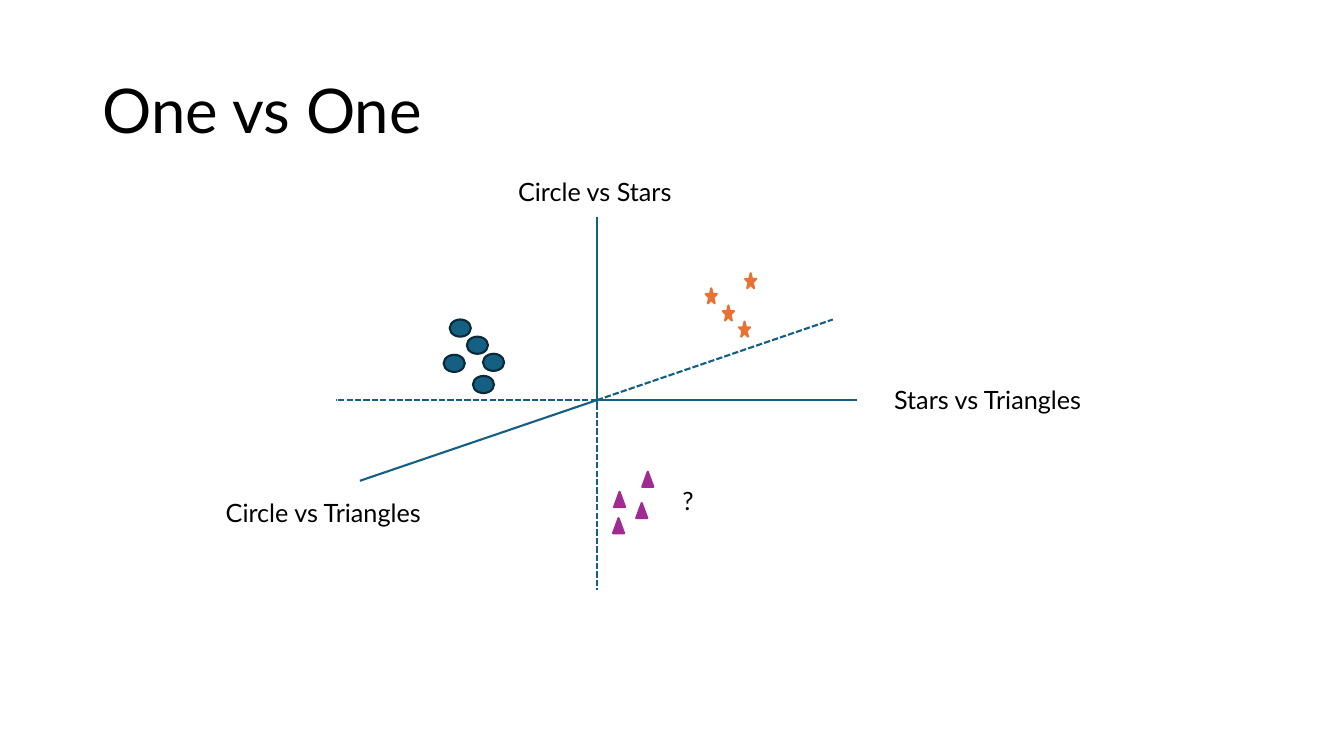
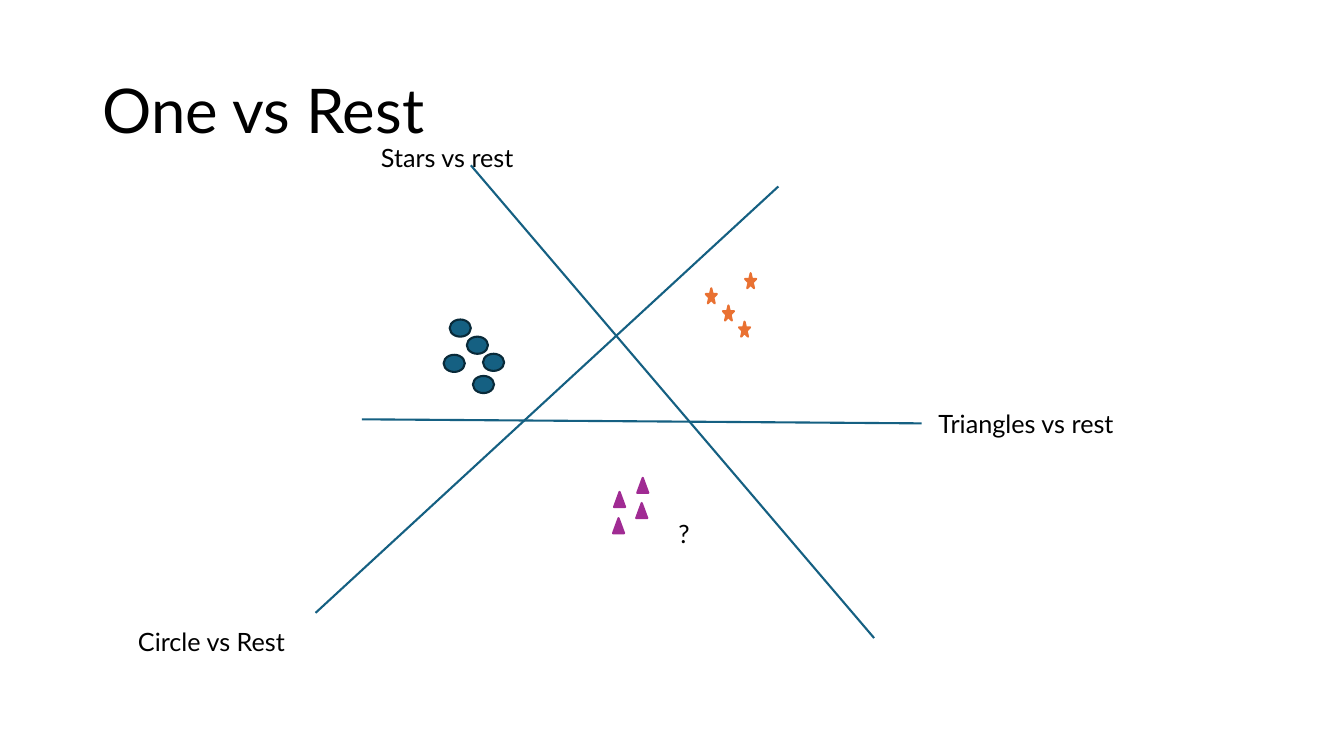
from lxml import etree
from pptx import Presentation
from pptx.dml.color import RGBColor
from pptx.enum.dml import MSO_LINE
from pptx.enum.shapes import MSO_CONNECTOR, MSO_SHAPE
from pptx.enum.text import MSO_ANCHOR
from pptx.oxml.ns import qn
from pptx.util import Inches, Pt

OVAL = MSO_SHAPE.OVAL
STAR = MSO_SHAPE.STAR_5_POINT
TRIANGLE = MSO_SHAPE.ISOSCELES_TRIANGLE
STRAIGHT = MSO_CONNECTOR.STRAIGHT
DASH = MSO_LINE.SQUARE_DOT
TOP, MIDDLE = MSO_ANCHOR.TOP, MSO_ANCHOR.MIDDLE

FONT = "Lato"
LINE_WIDTH = Pt(1.5)
COLORS = {
    "text": "000000",
    "axis": "156082",
    "circle": "156082",
    "circle_edge": "092A39",
    "star": "E97132",
    "triangle": "A02B93",
}
CIRCLES = [(4.46, 3.17), (4.63, 3.34), (4.79, 3.51), (4.69, 3.73), (4.4, 3.52)]
STARS = [(7, 2.86), (7.17, 3.03), (7.33, 3.19), (7.39, 2.71)]
TRIANGLES = [(6.08, 5.14), (6.09, 4.88), (6.31, 4.99)]


def rgb(name):
    return RGBColor.from_string(COLORS[name])


def add_text(s, text, x, y, w=2.3, h=0.4, size=18, anchor=TOP, spacing=1):
    tf = s.shapes.add_textbox(Inches(x), Inches(y), Inches(w), Inches(h)).text_frame
    tf.word_wrap = True
    tf.vertical_anchor = anchor
    p = tf.paragraphs[0]
    p.line_spacing = spacing
    r = p.add_run()
    r.text = text
    r.font.name = FONT
    r.font.size = Pt(size)
    r.font.color.rgb = rgb("text")


def add_line(s, start, end, dashed=False):
    ends = [Inches(v) for v in (*start, *end)]
    line = s.shapes.add_connector(STRAIGHT, *ends)
    line.line.color.rgb = rgb("axis")
    line.line.width = LINE_WIDTH
    if dashed:
        line.line.dash_style = DASH
    etree.SubElement(line._element.spPr, qn("a:effectLst"))


def add_markers(s, kind, points, w, h, fill, edge):
    for x, y in points:
        sp = s.shapes.add_shape(kind, Inches(x), Inches(y), Inches(w), Inches(h))
        sp.shadow.inherit = False
        sp.fill.solid()
        sp.fill.fore_color.rgb = rgb(fill)
        sp.line.color.rgb = rgb(edge)
        sp.line.width = LINE_WIDTH


def add_class_slide(prs, title, top_triangle, lines, labels):
    s = prs.slides.add_slide(prs.slide_layouts[6])
    add_text(s, title, 0.92, 0.4, 11.5, 1.45, 44, MIDDLE, 0.9)
    add_markers(s, OVAL, CIRCLES, 0.21, 0.17, "circle", "circle_edge")
    add_markers(s, STAR, STARS, 0.11, 0.15, "star", "star")
    add_markers(s, TRIANGLE, [top_triangle] + TRIANGLES, 0.11, 0.15, "triangle", "triangle")
    for line in lines:
        add_line(s, *line)
    for label in labels:
        add_text(s, *label)


def half_dashed(solid_end, center, dashed_end):
    return [(solid_end, center), (center, dashed_end, True)]


def main():
    prs = Presentation()
    prs.slide_width, prs.slide_height = Inches(13.33), Inches(7.5)
    center = (5.92, 3.97)
    add_class_slide(
        prs, "One vs One", (6.37, 4.68),
        half_dashed((5.92, 2.15), (5.92, 4), (5.92, 5.85))
        + half_dashed((8.5, 3.97), center, (3.33, 3.97))
        + half_dashed((3.57, 4.77), center, (8.26, 3.17)),
        [("?", 6.67, 4.77),
         ("Circle vs Stars", 5.04, 1.7),
         ("Circle vs Triangles", 2.14, 4.88),
         ("Stars vs Triangles", 8.77, 3.76)],
    )
    add_class_slide(
        prs, "One vs Rest", (6.32, 4.74),
        [((7.72, 1.85), (3.13, 6.08)),
         ((4.67, 1.64), (8.67, 6.33)),
         ((9.14, 4.2), (3.59, 4.16))],
        [("?", 6.63, 5.09),
         ("Stars vs rest", 3.68, 1.36),
         ("Triangles vs rest", 9.21, 4),
         ("Circle vs Rest", 1.27, 6.16)],
    )
    prs.save("out.pptx")


if __name__ == "__main__":
    main()
